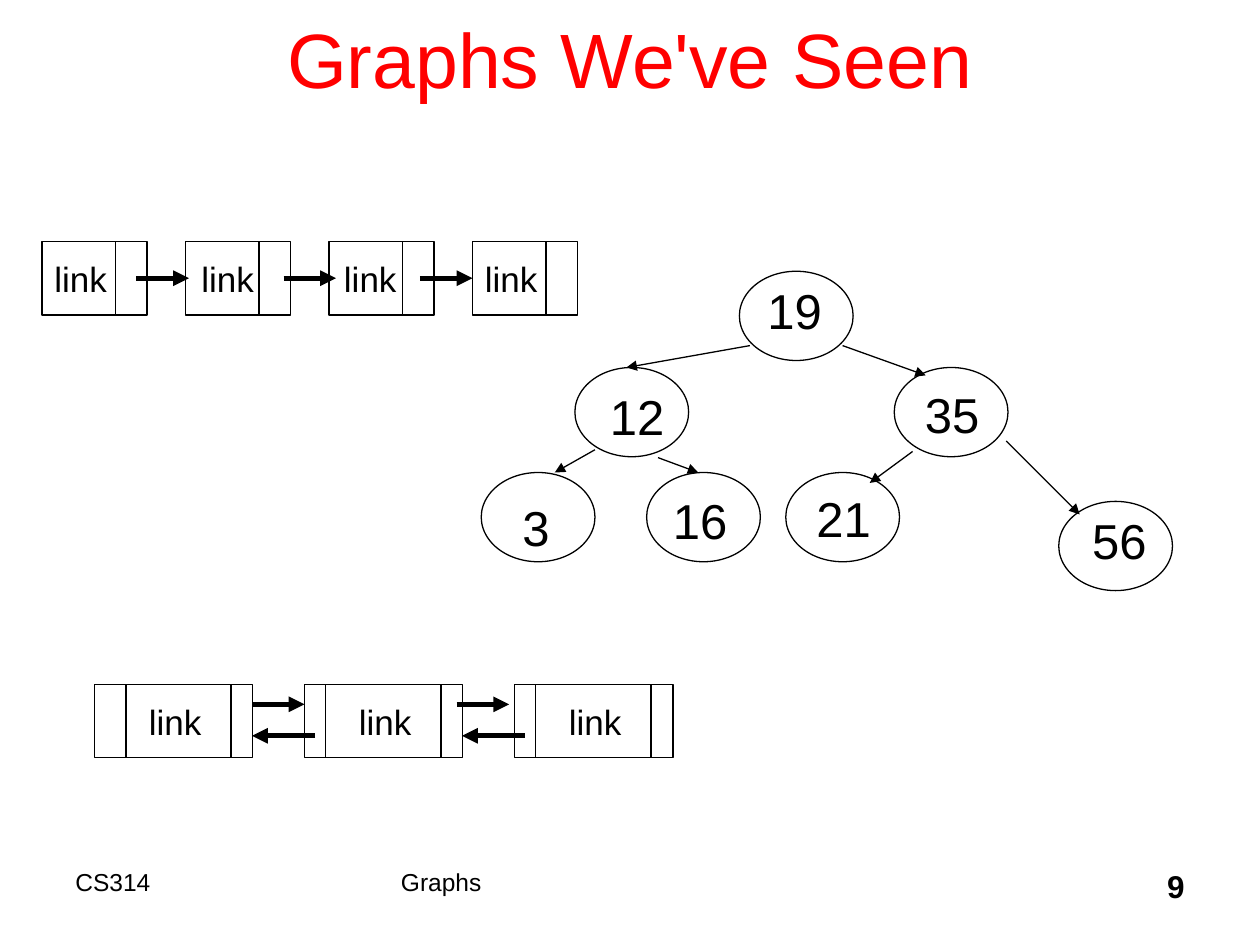
from lxml import etree
from pptx import Presentation
from pptx.dml.color import RGBColor
from pptx.enum import shapes, text
from pptx.oxml import ns
from pptx.util import Pt

BLACK = RGBColor(0, 0, 0)
RED = RGBColor(255, 0, 0)
FONT = "Arial"
THIN, THICK = 0.75, 3

TITLE = "Graphs We've Seen"
FOOTERS = [
    ("CS314", 36, 180, {"size": 14}),
    ("Graphs", 222, 276, {"size": 14}),
    ("9", 534, 150, {"size": 18, "bold": True, "align": text.PP_ALIGN.RIGHT}),
]

SINGLE_LABELS = [24, 108, 189.5, 270]
SINGLE_ARROWS = [78, 162, 240]
DOUBLE_DIVIDERS = [18, 12, 12]
FORWARD_ARROWS = [144, 261]
BACK_ARROWS = [180, 300]

TREE_NODES = [
    ("19", (422.5, 155), (431.5, 157)),
    ("12", (328.5, 210), (341.5, 217.5)),
    ("35", (511, 210), (521.5, 216)),
    ("3", (275, 270), (291.5, 281)),
    ("16", (369.5, 270), (377.5, 277)),
    ("21", (449, 270), (459.5, 275.5)),
    ("56", (605, 286.5), (617, 288)),
]
TREE_EDGES = [
    ((428.5, 197.5), (358, 210)),
    ((481.5, 197.5), (529, 214.5)),
    ((340, 257), (317, 270)),
    ((376, 261.5), (399, 270)),
    ((521.5, 258), (497, 276)),
    ((575, 252), (617, 294)),
]

deck = Presentation()
deck.slide_width, deck.slide_height = Pt(720), Pt(540)
page = deck.slides.add_slide(deck.slide_layouts[5])


def write(frame, words, size=20, color=BLACK, bold=False,
          align=text.PP_ALIGN.LEFT, anchor=text.MSO_ANCHOR.TOP, wrap=True):
    frame.word_wrap = wrap
    frame.auto_size = text.MSO_AUTO_SIZE.NONE if wrap else text.MSO_AUTO_SIZE.SHAPE_TO_FIT_TEXT
    frame.vertical_anchor = anchor
    para = frame.paragraphs[0]
    para.alignment = align
    span = para.add_run()
    span.text = words
    span.font.name = FONT
    span.font.size = Pt(size)
    span.font.bold = bold
    span.font.color.rgb = color


def add_text(words, left, top, width, height, **style):
    box = page.shapes.add_textbox(Pt(left), Pt(top), Pt(width), Pt(height))
    write(box.text_frame, words, **style)


def add_outline(kind, left, top, width, height):
    shape = page.shapes.add_shape(kind, Pt(left), Pt(top), Pt(width), Pt(height))
    shape.shadow.inherit = False
    shape.fill.background()
    shape.line.color.rgb = BLACK
    shape.line.width = Pt(THIN)


def add_line(start, end, weight=THIN, arrow=False):
    line = page.shapes.add_connector(
        shapes.MSO_CONNECTOR.STRAIGHT, *(Pt(value) for value in (*start, *end)))
    line.line.color.rgb = BLACK
    line.line.width = Pt(weight)
    properties = line._element.spPr
    etree.SubElement(properties, ns.qn("a:effectLst"))
    if arrow:
        etree.SubElement(line.line._get_or_add_ln(), ns.qn("a:tailEnd"), type="triangle")


def add_link(left, top, width, dividers, label_left):
    height = 42
    add_outline(shapes.MSO_SHAPE.RECTANGLE, left, top, width, height)
    for offset in dividers:
        add_line((left + offset, top), (left + offset, top + height))
    add_text("link", label_left, top + 5.5, 44.5, 31, wrap=False)


def add_arrow(left, top, length):
    add_line((left, top), (left + length, top), THICK, arrow=True)


title = page.shapes.title
title.left, title.top, title.width, title.height = Pt(54), Pt(-12), Pt(612), Pt(90)
write(title.text_frame, TITLE, size=44, color=RED,
      align=text.PP_ALIGN.CENTER, anchor=text.MSO_ANCHOR.MIDDLE)

for words, left, width, style in FOOTERS:
    add_text(words, left, 492, width, 36, **style)

for index, label_left in enumerate(SINGLE_LABELS):
    add_link(24 + 82 * index, 138, 60, [42], label_left)
for left in SINGLE_ARROWS:
    add_arrow(left, 159, 30)

for index, divider in enumerate(DOUBLE_DIVIDERS):
    left = 54 + 120 * index
    add_link(left, 391, 90.5, [divider, 78], left + 24)
for left in FORWARD_ARROWS:
    add_arrow(left, 402.5, 30)
for left in BACK_ARROWS:
    add_arrow(left, 420.5, -36)

for words, corner, label in TREE_NODES:
    add_outline(shapes.MSO_SHAPE.OVAL, *corner, 65, 51)
    add_text(words, *label, 14.5 + 15.6 * len(words), 41, size=28, wrap=False)
for start, end in TREE_EDGES:
    add_line(start, end, arrow=True)

deck.save("out.pptx")
